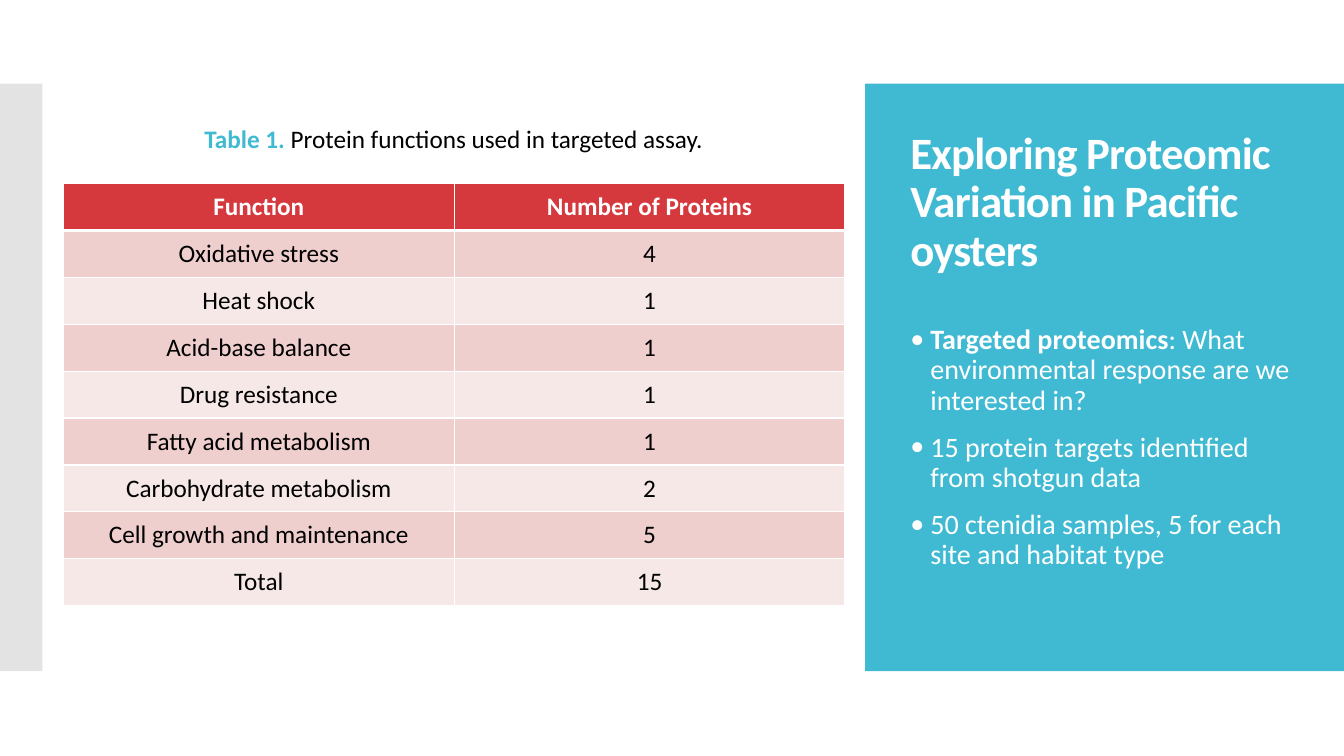
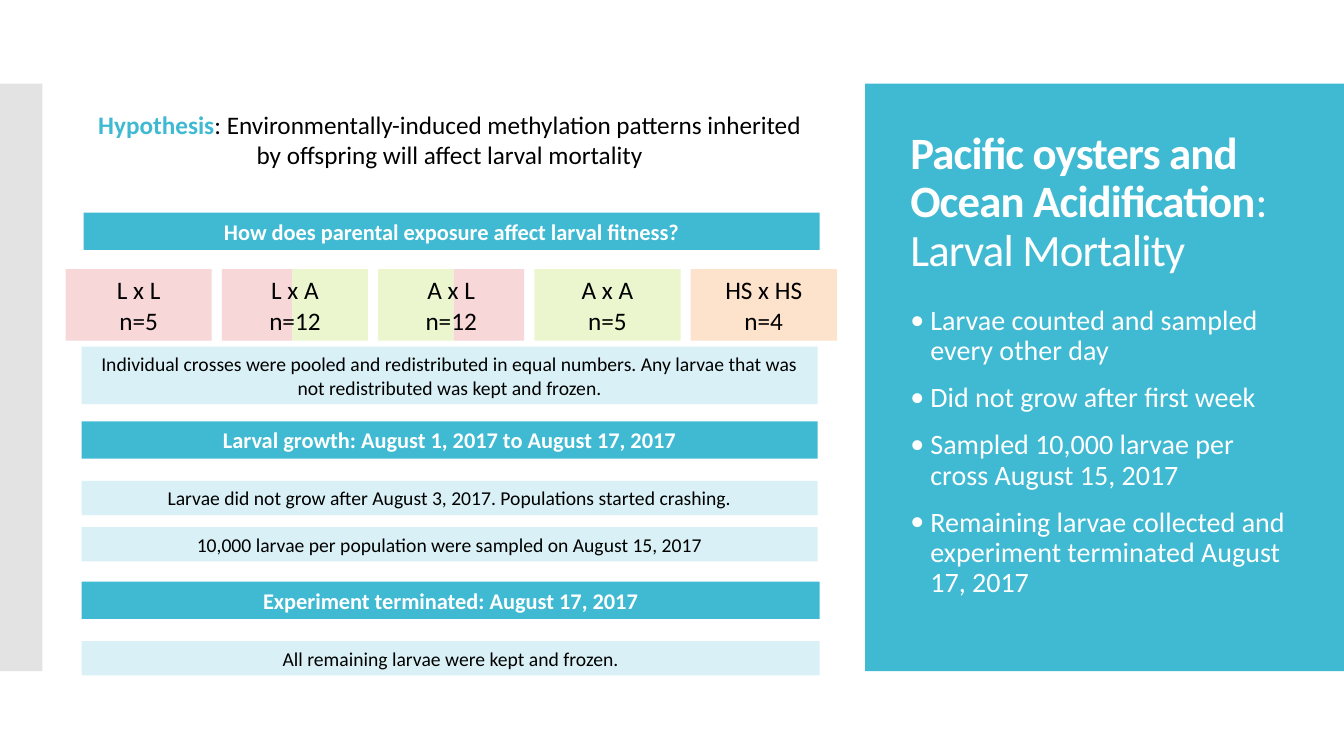
from lxml.etree import SubElement
from pptx import Presentation
from pptx.dml.color import RGBColor
from pptx.enum.shapes import MSO_SHAPE as Preset
from pptx.enum.text import MSO_ANCHOR as Anchor, PP_ALIGN as Align
from pptx.oxml.ns import qn
from pptx.util import Pt

EMU_PER_PX = 9144


def px(length):
    return length * EMU_PER_PX


def rgb(value):
    return RGBColor.from_string(value)


class Deck:
    FONT = "Calibri"
    ACCENT = "40BAD2"
    TINT = "D9F1F6"
    GREY = "C8C8C8"
    WHITE = "FFFFFF"
    BLACK = "000000"
    HEADER_RED = "D5393D"
    ROW_REDS = ("EFCECE", "F7E8E8")
    BAND_TOP, BAND_HEIGHT = 83, 583
    PANEL_LEFT, PANEL_WIDTH = 858, 475
    STRIP_WIDTH = 42
    PANEL_TEXT_LEFT, PANEL_TEXT_WIDTH = 893, 400

    def __init__(self):
        self.presentation = Presentation()
        self.presentation.slide_width = px(1333)
        self.presentation.slide_height = px(750)
        self.slide = None

    def add_slide(self, title, bullets, bullets_top, bullets_height):
        layout = self.presentation.slide_layouts[6]
        self.slide = self.presentation.slides.add_slide(layout)
        self.rectangle(self.PANEL_LEFT, self.BAND_TOP, self.PANEL_WIDTH,
                       self.BAND_HEIGHT, self.ACCENT)
        strip = self.rectangle(0, self.BAND_TOP, self.STRIP_WIDTH,
                               self.BAND_HEIGHT, self.GREY)
        strip_color = strip._element.spPr.find(qn("a:solidFill"))[0]
        SubElement(strip_color, qn("a:alpha"), val="50000")
        self.title(title)
        self.bullets(bullets, bullets_top, bullets_height)

    def rectangle(self, left, top, width, height, color):
        shape = self.slide.shapes.add_shape(
            Preset.RECTANGLE, px(left), px(top), px(width), px(height))
        shape.shadow.inherit = False
        shape.fill.solid()
        shape.fill.fore_color.rgb = rgb(color)
        shape.line.fill.background()
        return shape

    def set_text(self, frame, paragraphs, size, color=BLACK, lead_color=None,
                 align=Align.CENTER, anchor=Anchor.MIDDLE):
        frame.word_wrap = True
        frame.vertical_anchor = anchor
        for index, (lead, rest) in enumerate(paragraphs):
            paragraph = frame.add_paragraph() if index else frame.paragraphs[0]
            paragraph.alignment = align
            pieces = [(lead, True)] if lead else []
            pieces += [(line, False) for line in rest.splitlines(True)]
            for text, bold in pieces:
                run = paragraph.add_run()
                run.text = text.rstrip("\n")
                run.font.name = self.FONT
                run.font.size = Pt(size)
                run.font.bold = bold
                run.font.color.rgb = rgb(lead_color if bold and lead_color else color)
                if text.endswith("\n"):
                    paragraph.add_line_break()

    def text(self, left, top, width, height, paragraphs, size, **style):
        box = self.slide.shapes.add_textbox(px(left), px(top), px(width), px(height))
        self.set_text(box.text_frame, paragraphs, size, **style)
        return box.text_frame.paragraphs

    def title(self, content):
        paragraph, = self.text(
            self.PANEL_TEXT_LEFT, 118, self.PANEL_TEXT_WIDTH, 167, [content], 32,
            color=self.WHITE, align=Align.LEFT)
        paragraph.line_spacing = 0.9
        for run in paragraph.runs:
            run._r.get_or_add_rPr().set("spc", "-60")

    def bullets(self, items, top, height):
        paragraphs = self.text(
            self.PANEL_TEXT_LEFT, top, self.PANEL_TEXT_WIDTH, height, items, 20,
            color=self.WHITE, align=Align.LEFT, anchor=Anchor.TOP)
        for paragraph in paragraphs:
            paragraph.line_spacing = 0.9
            paragraph.space_before = Pt(12)
            properties = paragraph._p.get_or_add_pPr()
            properties.set("marL", str(px(20)))
            properties.set("indent", str(px(-20)))
            bullet_color = SubElement(properties, qn("a:buClr"))
            SubElement(bullet_color, qn("a:srgbClr"), val=self.WHITE)
            SubElement(properties, qn("a:buFont"), typeface=self.FONT)
            SubElement(properties, qn("a:buChar"), char="•")

    def caption(self, left, top, height, lead, rest):
        self.text(left, top, 734, height, [(lead, rest)], 18, lead_color=self.ACCENT)

    def heading_bar(self, left, top, width, text):
        bar = self.rectangle(left, top, width, 37, self.ACCENT)
        self.set_text(bar.text_frame, [(text, "")], 16, color=self.WHITE)

    def note_bar(self, top, width, height, text):
        bar = self.rectangle(81, top, width, height, self.TINT)
        self.set_text(bar.text_frame, [("", text)], 14)

    def cross(self, left, parents, count, parent_colors, part_widths):
        top, width, height = 267, 145, 71
        lines = [("", " x ".join(parents)), ("", f"n={count}")]
        if len(set(parents)) == 1:
            box = self.rectangle(left, top, width, height, parent_colors[parents[0]])
            self.set_text(box.text_frame, lines, 18)
            return
        part_left = left
        for parent in parents:
            self.rectangle(part_left, top, part_widths[parent], height,
                           parent_colors[parent])
            part_left += part_widths[parent]
        self.text(left, top, width, height, lines, 18)

    def border(self, cell, side, points):
        line = SubElement(cell._tc.get_or_add_tcPr(), qn(f"a:ln{side}"),
                          w=str(Pt(points)))
        fill = SubElement(line, qn("a:solidFill"))
        SubElement(fill, qn("a:srgbClr"), val=self.WHITE)

    def table(self, left, top, width, height, rows):
        table = self.slide.shapes.add_table(
            len(rows), len(rows[0]), px(left), px(top), px(width), px(height)).table
        for row_index, row in enumerate(rows):
            header = row_index == 0
            for column_index, value in enumerate(row):
                cell = table.cell(row_index, column_index)
                content = (value, "") if header else ("", value)
                self.set_text(cell.text_frame, [content], 18,
                              color=self.WHITE if header else self.BLACK)
                cell.vertical_anchor = Anchor.MIDDLE
                for side in "LRTB":
                    thick = (row_index, side) in ((0, "B"), (1, "T"))
                    self.border(cell, side, 3 if thick else 1)
                cell.fill.solid()
                cell.fill.fore_color.rgb = rgb(
                    self.HEADER_RED if header else self.ROW_REDS[(row_index - 1) % 2])


def add_protein_slide(deck):
    deck.add_slide(
        ("Exploring Proteomic Variation in Pacific oysters", ""),
        [("Targeted proteomics", ": What environmental response are we interested in?"),
         ("", "15 protein targets identified from shotgun data"),
         ("", "50 ctenidia samples, 5 for each site and habitat type")],
        318, 302)
    deck.table(63, 182, 775, 419, [
        ("Function", "Number of Proteins"),
        ("Oxidative stress", "4"),
        ("Heat shock", "1"),
        ("Acid-base balance", "1"),
        ("Drug resistance", "1"),
        ("Fatty acid metabolism", "1"),
        ("Carbohydrate metabolism", "2"),
        ("Cell growth and maintenance", "5"),
        ("Total", "15"),
    ])
    deck.caption(83, 117, 40, "Table 1.", " Protein functions used in targeted assay.")


def add_mortality_slide(deck):
    deck.add_slide(
        ("Pacific oysters and Ocean Acidification", ": \nLarval Mortality"),
        [("", "Larvae counted and sampled every other day"),
         ("", "Did not grow after first week"),
         ("", "Sampled 10,000 larvae per cross August 15, 2017"),
         ("", "Remaining larvae collected and experiment terminated August 17, 2017")],
        299, 345)
    deck.caption(79, 103, 71, "Hypothesis",
                 ": Environmentally-induced methylation patterns inherited "
                 "by offspring will affect larval mortality")

    for left, top, width, text in (
            (83, 211, 730, "How does parental exposure affect larval fitness?"),
            (81, 418, 730, "Larval growth: August 1, 2017 to August 17, 2017"),
            (81, 577, 732, "Experiment terminated: August 17, 2017")):
        deck.heading_bar(left, top, width, text)

    parent_colors = {"L": "F7D7D8", "A": "EBF6CE", "HS": "FDE2CC"}
    part_widths = {"L": 70, "A": 75}
    crosses = [(("L", "L"), 5), (("L", "A"), 12), (("A", "L"), 12),
               (("A", "A"), 5), (("HS", "HS"), 4)]
    for index, (parents, count) in enumerate(crosses):
        deck.cross(65 + 155 * index, parents, count, parent_colors, part_widths)

    for top, width, height, text in (
            (344, 730, 57, "Individual crosses were pooled and redistributed in equal "
                           "numbers. Any larvae that was not redistributed was kept "
                           "and frozen."),
            (477, 730, 34, "Larvae did not grow after August 3, 2017. "
                           "Populations started crashing."),
            (523, 730, 34, "10,000 larvae per population were sampled on "
                           "August 15, 2017"),
            (636, 732, 34, "All remaining larvae were kept and frozen.")):
        deck.note_bar(top, width, height, text)


def main():
    deck = Deck()
    add_protein_slide(deck)
    add_mortality_slide(deck)
    deck.presentation.save("out.pptx")


if __name__ == "__main__":
    main()
